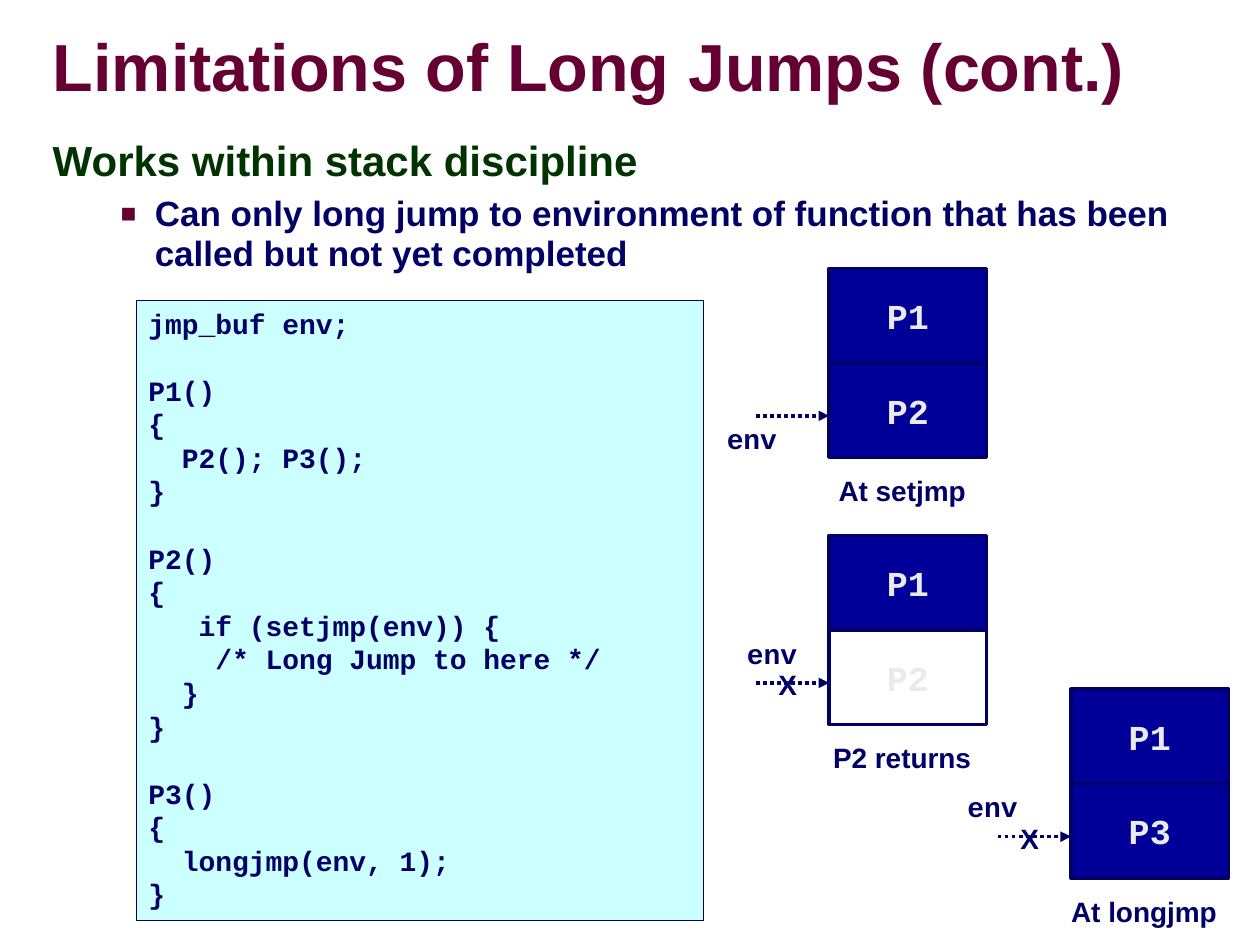
"""Build the slide on the limitations of long jumps."""
from dataclasses import dataclass

from lxml.etree import SubElement
from pptx import Presentation
from pptx.dml.color import RGBColor
from pptx.enum.dml import MSO_LINE
from pptx.enum.shapes import MSO_CONNECTOR, MSO_SHAPE
from pptx.enum.text import MSO_ANCHOR, PP_ALIGN
from pptx.oxml import parse_xml
from pptx.oxml.ns import nsdecls, qn
from pptx.util import Inches, Pt


@dataclass(frozen=True)
class Theme:
    """Colours, fonts and type sizes of the slide."""
    ink: str = "000066"
    title: str = "660033"
    heading: str = "003300"
    frame: str = "000099"
    frame_text: str = "EAEAEA"
    code_fill: str = "CCFFFF"
    white: str = "FFFFFF"
    sans: str = "Arial"
    mono: str = "Courier New"
    title_size: int = 38
    heading_size: int = 24
    body_size: int = 20
    small_size: int = 16
    code_gap: float = 19.2


THEME = Theme()

CODE = (
    ("jmp_buf env;",),
    ("P1()", "{", "  P2(); P3();", "}"),
    ("P2()", "{", "   if (setjmp(env)) {", "    /* Long Jump to here */", "  }", "}"),
    ("P3()", "{", "  longjmp(env, 1);", "}"),
)


def write(para, text, font=THEME.sans, size=THEME.small_size, color=THEME.ink,
          align=PP_ALIGN.LEFT, spacing=None, before=0):
    """Write bold text into a paragraph and return its span."""
    para.alignment = align
    para.space_before = Pt(before)
    if spacing:
        para.line_spacing = spacing
    span = para.add_run()
    span.text = text
    span.font.size = Pt(size)
    span.font.bold = True
    span.font.color.rgb = RGBColor.from_string(color)
    span.font.name = font
    return span


class Painter:
    """Hold the theme and the page, and draw each kind of element."""

    def __init__(self, page, theme):
        """Start on a page with a theme."""
        self.page, self.theme = page, theme
        self.shapes = page.shapes

    def text_box(self, left, top, width, height, wrap=True):
        """Add an empty text box and return its text frame."""
        box = self.shapes.add_textbox(Inches(left), Inches(top), Inches(width), Inches(height))
        box.text_frame.word_wrap = wrap
        return box.text_frame

    def label(self, text, left, top, width, **style):
        """Add a one-line label."""
        frame = self.text_box(left, top, width, 0.37, wrap=False)
        write(frame.paragraphs[0], text, **style)

    def rectangle(self, left, top, width, height, fill, line_width):
        """Add an outlined rectangle and return its text frame."""
        box = self.shapes.add_shape(MSO_SHAPE.RECTANGLE, Inches(left), Inches(top),
                                    Inches(width), Inches(height))
        box.shadow.inherit = False
        box.fill.solid()
        box.fill.fore_color.rgb = RGBColor.from_string(fill)
        box.line.color.rgb = RGBColor.from_string(self.theme.ink)
        box.line.width = Pt(line_width)
        return box.text_frame

    def arrow(self, left, top, width):
        """Add a dotted arrow that points right."""
        line = self.shapes.add_connector(MSO_CONNECTOR.STRAIGHT, Inches(left), Inches(top),
                                         Inches(left + width), Inches(top))
        line.line.color.rgb = RGBColor.from_string(self.theme.ink)
        line.line.width = Pt(2)
        line.line.dash_style = MSO_LINE.ROUND_DOT
        SubElement(line.line._get_or_add_ln(), qn("a:tailEnd"), type="triangle")
        SubElement(line._element.spPr, qn("a:effectLst"))

    def title(self, text):
        """Add the title with its text shadow."""
        frame = self.text_box(0.42, 0.25, 8.68, 0.63)
        frame.vertical_anchor = MSO_ANCHOR.MIDDLE
        frame.margin_left = frame.margin_right = frame.margin_top = frame.margin_bottom = 0
        span = write(frame.paragraphs[0], text, size=self.theme.title_size,
                     color=self.theme.title, spacing=0.87)
        span.font._element.find(qn("a:solidFill")).addnext(parse_xml(
            f'<a:effectLst {nsdecls("a")}><a:outerShdw dist="50800" dir="2700000">'
            '<a:srgbClr val="969696"/></a:outerShdw></a:effectLst>'))

    def body(self, heading, point):
        """Add the heading and its bullet point."""
        frame = self.text_box(0.32, 1.05, 9.09, 1.27)
        write(frame.paragraphs[0], heading, size=self.theme.heading_size,
              color=self.theme.heading, spacing=0.95)
        para = frame.add_paragraph()
        write(para, point, size=self.theme.body_size, spacing=0.95, before=5)
        layout = para._p.get_or_add_pPr()
        layout.set("marL", str(Inches(0.81)))
        layout.set("indent", str(Inches(-0.27)))
        color = SubElement(layout, qn("a:buClr"))
        SubElement(color, qn("a:srgbClr"), val=self.theme.title)
        SubElement(layout, qn("a:buSzPct"), val="75000")
        SubElement(layout, qn("a:buFont"), typeface=self.theme.sans)
        SubElement(layout, qn("a:buChar"), char="■")

    def code(self, blocks):
        """Add the listing, with a gap of one line between blocks."""
        frame = self.rectangle(1.08, 2.38, 4.5, 4.92, self.theme.code_fill, 0.25)
        frame.vertical_anchor = MSO_ANCHOR.TOP
        frame.word_wrap = True
        para = frame.paragraphs[0]
        for block_number, block in enumerate(blocks):
            for row, text in enumerate(block):
                if block_number or row:
                    para = frame.add_paragraph()
                gap = self.theme.code_gap if block_number and row == 0 else 0
                write(para, text, font=self.theme.mono, before=gap)

    def stack(self, left, top, callee, caption, caption_width, env_at, returned=False, invalid=False):
        """Add a group with two stack frames, the env arrow and a caption."""
        self.shapes = self.page.shapes.add_group_shape().shapes
        lower_fill = self.theme.white if returned else self.theme.frame
        for row, (name, fill) in enumerate((("P1", self.theme.frame), (callee, lower_fill))):
            frame = self.rectangle(left, top + 0.75 * row, 1.25, 0.75, fill, 2)
            frame.vertical_anchor = MSO_ANCHOR.MIDDLE
            frame.word_wrap = False
            write(frame.paragraphs[0], name, font=self.theme.mono, size=self.theme.body_size,
                  color=self.theme.frame_text, align=PP_ALIGN.CENTER)
        self.arrow(left - 0.58, top + 1.17, 0.58)
        self.label("env", left + env_at[0], top + env_at[1], 0.6, font=self.theme.mono)
        if invalid:
            self.label("X", left - 0.5, top + 1, 0.35)
        self.label(caption, left + 0.58 - caption_width / 2, top + 1.58, caption_width,
                   align=PP_ALIGN.CENTER)
        self.shapes = self.page.shapes


def main():
    """Build the deck and save it."""
    deck = Presentation()
    deck.slide_width, deck.slide_height = Inches(10), Inches(7.5)
    painter = Painter(deck.slides.add_slide(deck.slide_layouts[6]), THEME)
    painter.title("Limitations of Long Jumps (cont.)")
    painter.body("Works within stack discipline",
                 "Can only long jump to environment of function that has been called "
                 "but not yet completed")
    painter.code(CODE)
    painter.stack(6.58, 2.13, "P2", "At setjmp", 1.21, (-0.91, 1.17))
    painter.stack(8.5, 5.47, "P3", "At longjmp", 1.36, (-0.92, 0.75), invalid=True)
    painter.stack(6.58, 4.25, "P2", "P2 returns", 1.3, (-0.75, 0.75), returned=True, invalid=True)
    deck.save("out.pptx")


if __name__ == "__main__":
    main()
